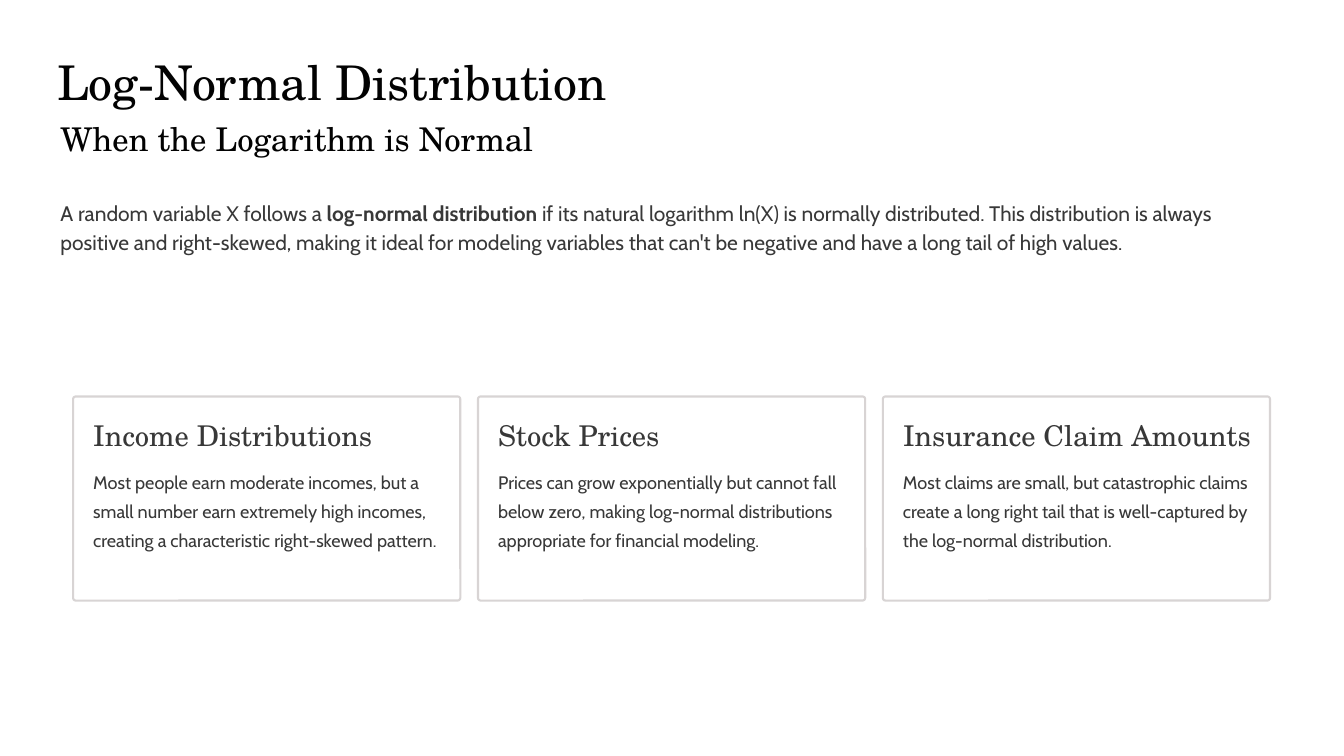
import pptx
import pptx.dml.color
import pptx.enum.shapes
import pptx.util

Inches = pptx.util.Inches
Pt = pptx.util.Pt
Shapes = pptx.enum.shapes.MSO_SHAPE


def color(value):
    return pptx.dml.color.RGBColor.from_string(value)


class SlideBuilder:
    heading_font = "TeX Gyre Schola"
    body_font = "Cabin"
    title_color = "020202"
    text_color = "383838"
    white = "FFFFFF"
    card_border = "D8D4D4"

    def __init__(self, slide):
        self.slide = slide

    def box(self, kind, left, top, width, height):
        shape = self.slide.shapes.add_shape(
            kind, Inches(left), Inches(top), Inches(width), Inches(height))
        shape.shadow.inherit = False
        shape.fill.solid()
        shape.fill.fore_color.rgb = color(self.white)
        shape.line.fill.background()
        return shape

    def text(self, left, top, width, height, runs, font, size, spacing, text_color, wrap):
        shape = self.slide.shapes.add_textbox(
            Inches(left), Inches(top), Inches(width), Inches(height))
        frame = shape.text_frame
        frame.word_wrap = wrap
        frame.margin_left = frame.margin_right = 0
        frame.margin_top = frame.margin_bottom = 0
        paragraph = frame.paragraphs[0]
        paragraph.line_spacing = Pt(spacing)
        paragraph.font.name = font
        paragraph.font.size = Pt(size)
        paragraph.font.color.rgb = color(text_color)
        for content, bold in runs:
            run = paragraph.add_run()
            run.text = content
            if bold:
                run.font.bold = True

    def heading(self, left, top, width, height, content, size, spacing, text_color):
        self.text(left, top, width, height, [(content, False)],
                  self.heading_font, size, spacing, text_color, False)

    def body(self, left, top, width, height, runs, size):
        self.text(left, top, width, height, runs,
                  self.body_font, size, 25, self.text_color, True)

    def card(self, left, top, title, description):
        shape = self.box(Shapes.ROUNDED_RECTANGLE, left, top, 4.61, 2.43)
        shape.adjustments[0] = 0.013
        shape.line.color.rgb = color(self.card_border)
        shape.line.width = Pt(1.8)
        text_left = left + 0.24
        self.heading(text_left, top + 0.24, 4.25, 0.43, title,
                     24.5, 30.5, self.text_color)
        self.body(text_left, top + 0.8, 4.13, 1.39, [(description, False)], 15.5)


def main():
    presentation = pptx.Presentation()
    presentation.slide_width = Inches(16)
    presentation.slide_height = Inches(9)
    builder = SlideBuilder(presentation.slides.add_slide(presentation.slide_layouts[6]))

    builder.box(Shapes.RECTANGLE, 0, 0, 16, 9)
    builder.heading(0.68, 0.6, 6.7, 0.71, "Log-Normal Distribution",
                    41, 51, builder.title_color)
    builder.heading(0.72, 1.31, 6.27, 0.57, "When the Logarithm is Normal",
                    28, 41, builder.title_color)
    builder.body(0.72, 2.34, 14.26, 0.69, [
        ("A random variable X follows a ", False),
        ("log-normal distribution", True),
        (" if its natural logarithm ln(X) is normally distributed. This distribution is "
         "always positive and right-skewed, making it ideal for modeling variables that "
         "can't be negative and have a long tail of high values.", False),
    ], 18)

    cards = [
        ("Income Distributions",
         "Most people earn moderate incomes, but a small number earn extremely high "
         "incomes, creating a characteristic right-skewed pattern."),
        ("Stock Prices",
         "Prices can grow exponentially but cannot fall below zero, making log-normal "
         "distributions appropriate for financial modeling."),
        ("Insurance Claim Amounts",
         "Most claims are small, but catastrophic claims create a long right tail that "
         "is well-captured by the log-normal distribution."),
    ]
    for index, (title, description) in enumerate(cards):
        builder.card(0.87 + index * 4.82, 4.72, title, description)

    presentation.save("out.pptx")


if __name__ == "__main__":
    main()
